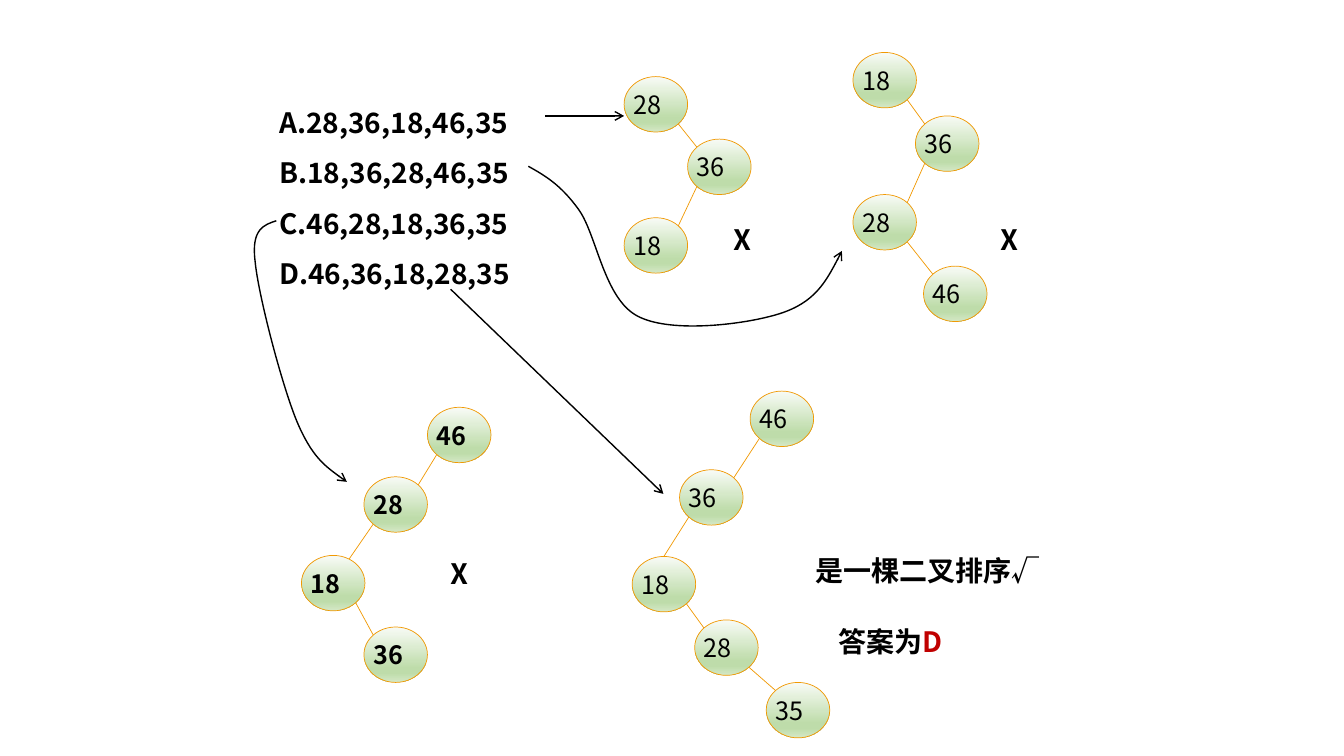
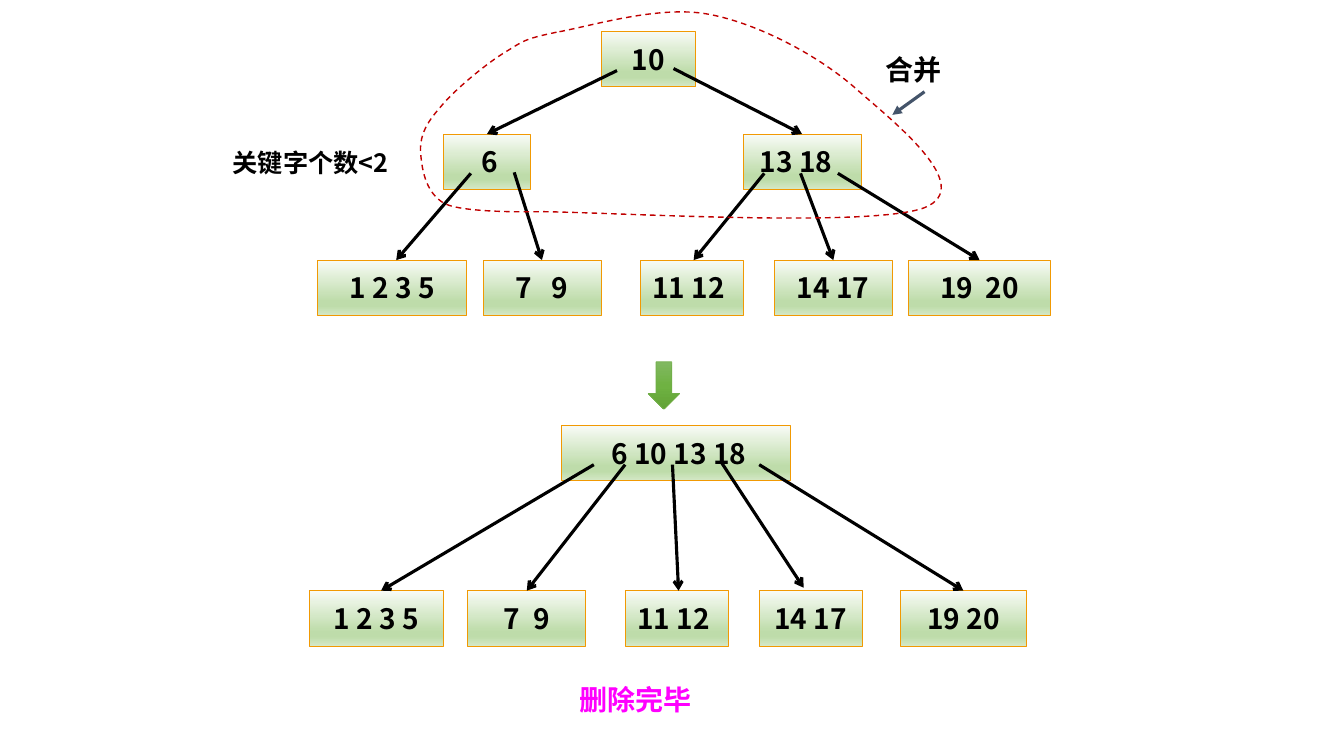
"""Build two slides on binary search trees and on merging B-tree nodes."""
import math

import lxml.etree
import pptx
import pptx.dml.color
import pptx.enum.dml
import pptx.enum.shapes
import pptx.enum.text
import pptx.oxml.ns
import pptx.util

Inches = pptx.util.Inches
qn = pptx.oxml.ns.qn
SHAPE = pptx.enum.shapes.MSO_SHAPE
STRAIGHT = pptx.enum.shapes.MSO_CONNECTOR.STRAIGHT
ALIGN = pptx.enum.text.PP_ALIGN

FONT = "Noto Sans CJK SC"
BLACK, ORANGE, RED, SLATE, MAGENTA = "000000", "F19903", "C00000", "44546A", "FF00FF"
PALE_GREEN = [(0, "F8FBF6"), (74, "BEDCAA"), (83, "BEDCAA"), (100, "D4E8C6")]
DEEP_GREEN = [(0, "81B861"), (50, "6FB242"), (100, "62A336")]
NODE_HEIGHT = 0.55


def paint(shape, line_hex, width, head=None, stops=()):
    """Give a shape its outline, arrowhead and gradient, without a shadow."""
    properties = shape.element.spPr
    shape.line.color.rgb = pptx.dml.color.RGBColor.from_string(line_hex)
    shape.line.width = pptx.util.Pt(width)
    if head:
        lxml.etree.SubElement(properties.find(qn("a:ln")), qn("a:tailEnd"), type=head)
    if stops:
        shape.fill.gradient()
        shape.fill.gradient_angle = 270
        ramp = properties.find(qn("a:gradFill")).find(qn("a:gsLst"))
        for old_stop in list(ramp):
            ramp.remove(old_stop)
        for percent, stop_hex in stops:
            stop = lxml.etree.SubElement(ramp, qn("a:gs"), pos=str(percent * 1000))
            lxml.etree.SubElement(stop, qn("a:srgbClr"), val=stop_hex)
    lxml.etree.SubElement(properties, qn("a:effectLst"))


def write(frame, lines, size=20, bold=True, align=ALIGN.LEFT, spacing=None):
    """Fill a frame with lines of (text, colour, letter spacing) runs."""
    frame.word_wrap = True
    for index, runs in enumerate(lines):
        paragraph = frame.add_paragraph() if index else frame.paragraphs[0]
        paragraph.alignment = align
        paragraph.line_spacing = spacing
        for text, text_hex, tracking in runs:
            run = paragraph.add_run()
            run.text = text
            run.font.name = FONT
            run.font.size = pptx.util.Pt(size)
            run.font.bold = bold
            run.font.color.rgb = pptx.dml.color.RGBColor.from_string(text_hex)
            character = run.font._element
            lxml.etree.SubElement(character, qn("a:ea"), typeface=FONT)
            if tracking:
                character.set("spc", str(int(tracking * 100)))


deck = pptx.Presentation()
deck.slide_width, deck.slide_height = Inches(13.33), Inches(7.5)
search_slide, merge_slide = [deck.slides.add_slide(deck.slide_layouts[6]) for _ in range(2)]

options = ["A.28,36,18,46,35", "B.18,36,28,46,35", "C.46,28,18,36,35", "D.46,36,18,28,35"]
option_box = search_slide.shapes.add_textbox(Inches(2.67), Inches(0.83), Inches(2.81), Inches(2.12))
write(option_box.text_frame, [[(option, BLACK, 0)] for option in options], spacing=1.5)

search_trees = [
    (False, [("28", 6.19, 0.76, 45), ("36", 6.82, 1.38, 45), ("18", 6.19, 2.16, 45)]),
    (False, [("18", 8.46, 0.52, 45), ("36", 9.08, 1.15, 45), ("28", 8.46, 1.93, 45),
             ("46", 9.16, 2.64, 45)]),
    (True, [("46", 4.24, 4.04, 45), ("28", 3.61, 4.73, 45), ("18", 2.99, 5.51, 30),
            ("36", 3.61, 6.22, 45)]),
    (False, [("46", 7.44, 3.88, 45), ("36", 6.74, 4.66, 45), ("18", 6.27, 5.52, 0),
             ("28", 6.89, 6.15, 45), ("35", 7.6, 6.77, 45)]),
]
KEY_WIDTH = 0.63
radius_x, radius_y = KEY_WIDTH / 2, NODE_HEIGHT / 2
straight_lines = []
for bold, keys in search_trees:
    for key, left, top, _ in keys:
        circle = search_slide.shapes.add_shape(
            SHAPE.OVAL, Inches(left), Inches(top), Inches(KEY_WIDTH), Inches(NODE_HEIGHT))
        paint(circle, ORANGE, 0.5, stops=PALE_GREEN)
        circle.text_frame.margin_left = circle.text_frame.margin_right = 0
        write(circle.text_frame, [[(key, BLACK, 0)]], size=18, bold=bold)
    for (_, left, top, _), (_, child_left, child_top, arrival) in zip(keys, keys[1:]):
        side = math.copysign(1, child_left - left)
        leave, arrive = math.radians(45), math.radians(arrival)
        start = (left + radius_x * (1 + side * math.sin(leave)),
                 top + radius_y * (1 + math.cos(leave)))
        end = (child_left + radius_x * (1 - side * math.sin(arrive)),
               child_top + radius_y * (1 - math.cos(arrive)))
        straight_lines.append((search_slide, start, end, ORANGE, 0.5, None))

node_rows = [
    (0.31, [("10", 5.96, 0.94, 0, 0, None, None)]),
    (1.33, [("6", 4.4, 0.86, 0.03, 0, (6.12, 0.7), None),
            ("13 18", 7.37, 1.17, -0.06, 0, (6.68, 0.68), None)]),
    (2.58, [("1 2 3 5", 3.15, 1.48, 0, 0, (4.67, 1.72), (3.93, 2.58)),
            ("7 9", 4.79, 1.17, 0, 9, (5.1, 1.71), None),
            ("11 12", 6.35, 1.02, -0.03, 0, (7.58, 1.72), (6.88, 2.58)),
            ("14 17", 7.68, 1.17, 0, 0, (7.94, 1.72), None),
            ("19 20", 9.01, 1.41, 0, 4.5, (8.31, 1.72), None)]),
    (4.22, [("6 10 13 18", 5.57, 2.27, 0.03, 0, None, None)]),
    (5.86, [("1 2 3 5", 3.07, 1.33, 0, 0, (5.89, 4.61), (3.78, 5.86)),
            ("7 9", 4.64, 1.17, 0, 4.5, (6.2, 4.61), None),
            ("11 12", 6.2, 1.02, -0.03, 0, (6.67, 4.61), (6.73, 5.86)),
            ("14 17", 7.53, 1.02, 0, 0, (7.15, 4.58), (7.97, 5.83)),
            ("19 20", 8.93, 1.25, 0, 0, (7.53, 4.61), None)]),
]
pointers = []
for top, nodes in node_rows:
    for keys, left, width, shift, gap, start, end in nodes:
        node = merge_slide.shapes.add_shape(
            SHAPE.RECTANGLE, Inches(left), Inches(top), Inches(width), Inches(NODE_HEIGHT))
        paint(node, ORANGE, 0.5, stops=PALE_GREEN)
        node.text_frame.margin_left = Inches(0.1 + shift)
        node.text_frame.margin_right = Inches(0.1 - shift)
        runs = [(keys, BLACK, 0)]
        if gap:
            first, last = keys.split()
            runs = [(first, BLACK, 0), (" ", BLACK, gap), (last, BLACK, 0)]
        write(node.text_frame, [runs], align=ALIGN.CENTER)
        if start and end:
            straight_lines.append((merge_slide, start, end, BLACK, 2.25, "arrow"))
        elif start:
            pointers.append((start, node))

for (x, y), node in pointers:
    pointer = merge_slide.shapes.add_connector(STRAIGHT, Inches(x), Inches(y), node.left, node.top)
    pointer.end_connect(node, 0)
    paint(pointer, BLACK, 2.25, "arrow")

straight_lines += [
    (search_slide, (5.41, 1.15), (6.19, 1.15), BLACK, 1, "arrow"),
    (search_slide, (4.47, 2.87), (6.58, 4.9), BLACK, 1, "arrow"),
    (merge_slide, (9.17, 0.91), (8.85, 1.14), SLATE, 2.25, "triangle"),
]
for slide, start, end, line_hex, width, head in straight_lines:
    line = slide.shapes.add_connector(STRAIGHT, *[Inches(value) for value in (*start, *end)])
    paint(line, line_hex, width, head)

curves = [
    (search_slide, BLACK, False, (5.24, 1.65), [
        (5.4, 1.74), (5.56, 1.83), (5.74, 2.08), (5.92, 2.33), (5.99, 2.97), (6.33, 3.14),
        (6.66, 3.31), (7.4, 3.22), (7.74, 3.11), (8.08, 3), (8.22, 2.75), (8.35, 2.49)]),
    (search_slide, BLACK, False, (2.74, 2.19), [
        (2.62, 2.23), (2.49, 2.27), (2.53, 2.59), (2.56, 2.92), (2.79, 3.8), (2.94, 4.17),
        (3.09, 4.53), (3.27, 4.66), (3.44, 4.78)]),
    (merge_slide, RED, True, (5.52, 0.32), [
        (5.18, 0.39), (5.19, 0.41), (4.99, 0.53), (4.8, 0.65), (4.5, 0.9), (4.37, 1.06),
        (4.23, 1.22), (4.17, 1.33), (4.17, 1.49), (4.18, 1.65), (4.21, 1.91), (4.41, 2.02),
        (4.61, 2.12), (5.37, 2.1), (5.37, 2.1), (6.16, 2.11), (8.65, 2.26), (9.17, 2.06),
        (9.69, 1.85), (8.85, 1.2), (8.49, 0.88), (8.13, 0.56), (7.52, 0.23), (7.02, 0.14),
        (6.53, 0.05), (5.86, 0.26), (5.52, 0.32)]),
]
for slide, line_hex, closed, (x, y), points in curves:
    builder = slide.shapes.build_freeform(Inches(x), Inches(y))
    builder.add_line_segments([(Inches(px), Inches(py)) for px, py in points], close=closed)
    curve = builder.convert_to_shape()
    segments = list(curve.element.iter(qn("a:lnTo")))
    for first in range(0, len(points), 3):
        bend = lxml.etree.Element(qn("a:cubicBezTo"))
        segments[first].addprevious(bend)
        for segment in segments[first:first + 3]:
            bend.append(segment[0])
            segment.getparent().remove(segment)
    curve.fill.background()
    paint(curve, line_hex, 1, None if closed else "arrow")
    if closed:
        curve.line.dash_style = pptx.enum.dml.MSO_LINE.DASH

next_step = merge_slide.shapes.add_shape(
    SHAPE.DOWN_ARROW, Inches(6.43), Inches(3.59), Inches(0.31), Inches(0.47))
paint(next_step, "70AD47", 0.5, stops=DEEP_GREEN)

remarks = [
    (search_slide, 7.99, 5.44, 2.81, 0.44, 20, 1, [("是一棵二叉排序√", BLACK, 0)]),
    (search_slide, 7.13, 2.16, 0.55, 0.44, 20, 1, [("Ⅹ", BLACK, 0)]),
    (search_slide, 9.78, 2.16, 0.55, 0.44, 20, 1, [("Ⅹ", BLACK, 0)]),
    (search_slide, 4.32, 5.47, 0.55, 0.44, 20, 1, [("Ⅹ", BLACK, 0)]),
    (search_slide, 8.22, 6.15, 1.56, 0.44, 20, 1, [("答案为", BLACK, 0), ("D", RED, 0)]),
    (merge_slide, 2.21, 1.41, 2.11, 0.4, 18, 1, [("关键字个数<2", BLACK, 0)]),
    (merge_slide, 8.78, 0.52, 0.87, 0.34, 20, 0, [("合并", BLACK, 0)]),
    (merge_slide, 5.65, 6.72, 2.66, 0.44, 20, 1, [("删除完毕", MAGENTA, 0)]),
]
for slide, left, top, width, height, size, inset, runs in remarks:
    remark = slide.shapes.add_textbox(Inches(left), Inches(top), Inches(width), Inches(height))
    frame = remark.text_frame
    frame.margin_left = frame.margin_right = Inches(0.1 * inset)
    frame.margin_top = frame.margin_bottom = Inches(0.05 * inset)
    write(frame, [runs], size=size)

deck.save("out.pptx")
